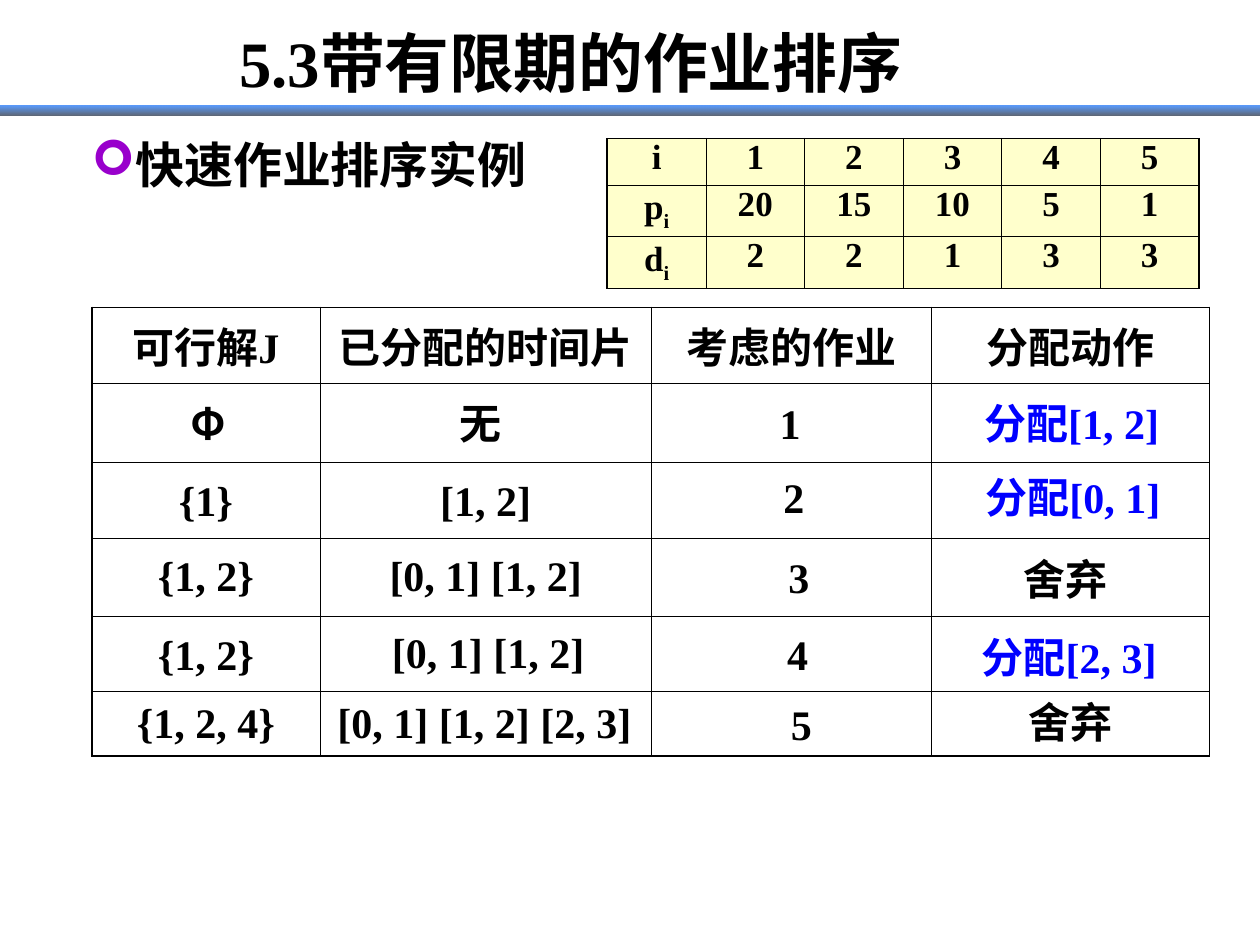
from dataclasses import dataclass

from lxml.etree import SubElement
from pptx import Presentation
from pptx.dml.color import RGBColor
from pptx.enum.shapes import MSO_SHAPE as Preset
from pptx.enum.text import MSO_ANCHOR as Anchor, MSO_AUTO_SIZE as AutoSize, PP_ALIGN as Align
from pptx.oxml.ns import qn
from pptx.util import Emu, Inches, Pt

BLACK = RGBColor(0, 0, 0)
BLUE = RGBColor(0, 0, 255)
PURPLE = RGBColor(0x99, 0, 0xCC)
CREAM = RGBColor(0xFF, 0xFF, 0xCC)
BAR_TOP = RGBColor(0, 0x66, 0xFF)
BAR_BOTTOM = RGBColor(0, 0x0D, 0x20)
SERIF, SANS, HEADING = "Times New Roman", "Noto Sans CJK SC", "Cabin"
GRID_COLUMNS, GRID_ROWS = 100, 75
THIN, THICK = Pt(0.45), Pt(1.08)
LABEL_SLACK = 0.4


@dataclass
class Piece:
    text: str
    size: float = 24
    font: str = SERIF
    color: RGBColor = BLACK
    subscript: bool = False


@dataclass
class Box:
    left: float
    top: float
    width: float
    height: float


@dataclass
class Grid:
    left: float
    top: float
    columns: list[float]
    rows: list[float]

    def center(self, column: int, row: int) -> tuple[float, float]:
        return (self.left + sum(self.columns[:column]) + self.columns[column] / 2,
                self.top + sum(self.rows[:row]) + self.rows[row] / 2)


@dataclass
class Label:
    piece: Piece
    width: float
    shift: tuple[float, float] = (0, 0)


presentation = Presentation()
presentation.slide_width, presentation.slide_height = Inches(10), Inches(7.5)
slide = presentation.slides.add_slide(presentation.slide_layouts[6])


def across(columns: float) -> Emu:
    return Emu(round(presentation.slide_width * columns / GRID_COLUMNS))


def down(rows: float) -> Emu:
    return Emu(round(presentation.slide_height * rows / GRID_ROWS))


def place(box: Box) -> tuple[Emu, Emu, Emu, Emu]:
    return across(box.left), down(box.top), across(box.width), down(box.height)


def apply(target, values: dict) -> None:
    for name, value in values.items():
        setattr(target, name, value)


def write(paragraph, pieces: list[Piece]) -> None:
    for piece in pieces:
        run = paragraph.add_run()
        run.text = piece.text
        apply(run.font, {"size": Pt(piece.size), "name": piece.font, "bold": True})
        run.font.color.rgb = piece.color
        properties = run._r.get_or_add_rPr()
        SubElement(properties, qn("a:ea"), typeface=SANS)
        if piece.subscript:
            properties.set("baseline", "-25000")


def add_text(box: Box, piece: Piece, frame_format: dict):
    frame = slide.shapes.add_textbox(*place(box)).text_frame
    apply(frame, frame_format)
    write(frame.paragraphs[0], [piece])
    return frame.paragraphs[0]


def add_border(cell, side: str, width: int) -> None:
    line = SubElement(cell._tc.get_or_add_tcPr(), qn(f"a:{side}"), w=str(width))
    fill = SubElement(line, qn("a:solidFill"))
    SubElement(fill, qn("a:srgbClr"), val=str(BLACK))


def add_grid_table(grid: Grid, contents: list[list[list[Piece]]], fill: RGBColor | None,
                   cell_format: dict, paragraph_format: dict) -> None:
    row_count, column_count = len(grid.rows), len(grid.columns)
    box = Box(grid.left, grid.top, sum(grid.columns), sum(grid.rows))
    table = slide.shapes.add_table(row_count, column_count, *place(box)).table
    apply(table, {"first_row": False, "horz_banding": False})
    for column, width in zip(table.columns, grid.columns):
        column.width = across(width)
    for row, height in zip(table.rows, grid.rows):
        row.height = down(height)
    for r in range(row_count):
        for c in range(column_count):
            cell = table.cell(r, c)
            apply(cell, cell_format)
            for side, outer in {"lnL": c == 0, "lnR": c == column_count - 1,
                                "lnT": r == 0, "lnB": r == row_count - 1}.items():
                add_border(cell, side, THICK if outer else THIN)
            if fill is None:
                cell.fill.background()
            else:
                cell.fill.solid()
                cell.fill.fore_color.rgb = fill
            if r < len(contents):
                paragraph = cell.text_frame.paragraphs[0]
                apply(paragraph, paragraph_format)
                write(paragraph, contents[r][c])


def add_bar(box: Box) -> None:
    bar = slide.shapes.add_shape(Preset.RECTANGLE, *place(box))
    bar.shadow.inherit = False
    bar.line.fill.background()
    bar.fill.gradient()
    bar.fill.gradient_angle = 270
    for stop, color, opacity in zip(bar.fill.gradient_stops, (BAR_TOP, BAR_BOTTOM), (65, 63)):
        stop.color.rgb = color
        SubElement(stop._gs.find(qn("a:srgbClr")), qn("a:alpha"), val=str(opacity * 1000))


def add_bullet(paragraph, symbol: str, color: RGBColor) -> None:
    properties = paragraph._p.get_or_add_pPr()
    bullet_color = SubElement(properties, qn("a:buClr"))
    SubElement(bullet_color, qn("a:srgbClr"), val=str(color))
    SubElement(properties, qn("a:buFont"), typeface="Wingdings", charset="2")
    SubElement(properties, qn("a:buChar"), char=symbol)


def add_labels(grid: Grid, label_rows: list[list[Label]], height: float) -> None:
    frame_format = {"word_wrap": False, "auto_size": AutoSize.SHAPE_TO_FIT_TEXT}
    for r, labels in enumerate(label_rows, start=1):
        for c, label in enumerate(labels):
            x, y = grid.center(c, r)
            width = label.width + LABEL_SLACK
            box = Box(x + label.shift[0] - width / 2, y + label.shift[1] - height / 2,
                      width, height)
            add_text(box, label.piece, frame_format).alignment = Align.CENTER


JOB_GRID = Grid(48.2, 11, [7.83] * 6, [3.7, 4.1, 4.1])
JOBS = [("i", "", [1, 2, 3, 4, 5]), ("p", "i", [20, 15, 10, 5, 1]), ("d", "i", [2, 2, 1, 3, 3])]
STEP_GRID = Grid(7.3, 24.4, [18.1, 26.3, 22.2, 22.1], [6, 6.3, 6, 6.2, 6, 5.1])
HEADINGS = [[Piece("可行解", font=HEADING), Piece("J")]] + [
    [Piece(text, font=HEADING)] for text in ("已分配的时间片", "考虑的作业", "分配动作")]
STEPS = [
    [Label(Piece("Φ", font=SANS), 4.8, (0.2, 0)), Label(Piece("无"), 5.3, (-0.4, 0)),
     Label(Piece("1"), 3.6, (-0.1, 0)), Label(Piece("分配[1, 2]", color=BLUE), 16.7, (0.1, 0))],
    [Label(Piece("{1}"), 6.3), Label(Piece("[1, 2]"), 9.2),
     Label(Piece("2"), 3.6, (0.2, -0.3)), Label(Piece("分配[0, 1]", color=BLUE), 16.7, (0.2, -0.3))],
    [Label(Piece("{1, 2}"), 9.6, (0, -0.2)), Label(Piece("[0, 1] [1, 2]"), 17.2, (0, -0.2)),
     Label(Piece("3"), 3.6, (0.6, 0)), Label(Piece("舍弃"), 8.6, (-0.4, 0.1))],
    [Label(Piece("{1, 2}"), 9.6), Label(Piece("[0, 1] [1, 2]"), 17.2, (0.2, -0.2)),
     Label(Piece("4"), 3.6, (0.5, 0)), Label(Piece("分配[2, 3]", color=BLUE), 16.7, (-0.1, 0.2))],
    [Label(Piece("{1, 2, 4}"), 12.9, (0, -0.2)),
     Label(Piece("[0, 1] [1, 2] [2, 3]"), 25.3, (-0.1, -0.2)),
     Label(Piece("5"), 3.6, (0.8, 0)), Label(Piece("舍弃"), 8.6, (0, -0.2))],
]

add_bar(Box(0, 8.4, 100, 0.8))
job_cells = [
    [[Piece(name, 20)] + ([Piece(index, 20, subscript=True)] if index else [])]
    + [[Piece(str(value), 20)] for value in values]
    for name, index, values in JOBS]
add_grid_table(JOB_GRID, job_cells, CREAM,
               {"margin_left": Inches(0.06), "margin_right": Inches(0.06)},
               {"alignment": Align.CENTER, "line_spacing": 0.8})
subtitle = add_text(Box(6.3, 10.2, 43, 5.7), Piece("快速作业排序实例", 28),
                    {"word_wrap": True, "auto_size": AutoSize.SHAPE_TO_FIT_TEXT})
add_bullet(subtitle, "➢", PURPLE)
add_grid_table(STEP_GRID, [HEADINGS], None, {"vertical_anchor": Anchor.MIDDLE},
               {"alignment": Align.CENTER})
add_labels(STEP_GRID, STEPS, 5)
title = add_text(Box(18, 2.8, 62.7, 5.7), Piece("5.3带有限期的作业排序", 37),
                 {"word_wrap": True, "vertical_anchor": Anchor.MIDDLE})
title.line_spacing = 0.7

presentation.save("out.pptx")
